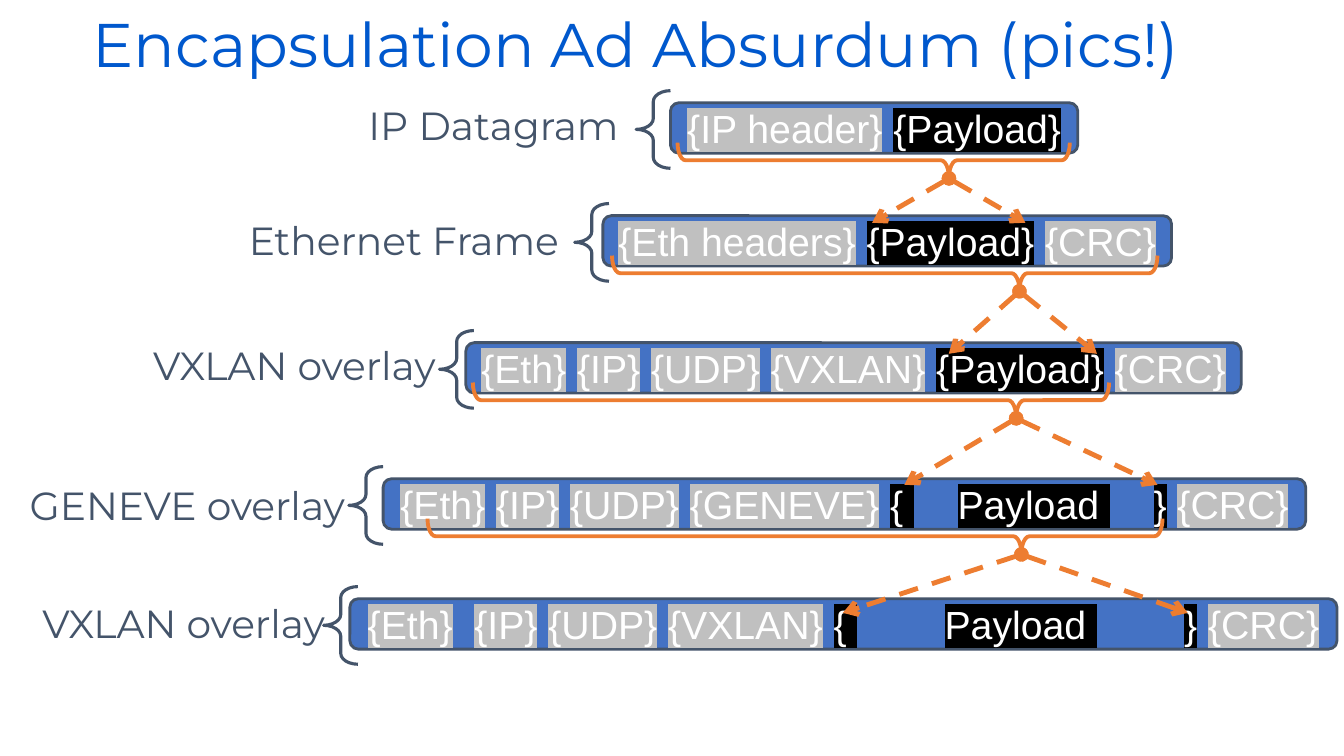
from dataclasses import dataclass
from typing import Optional

from lxml import etree
from pptx import Presentation
from pptx.dml.color import RGBColor
from pptx.enum.dml import MSO_LINE
from pptx.enum.shapes import MSO_CONNECTOR, MSO_SHAPE
from pptx.enum.text import MSO_ANCHOR, PP_ALIGN
from pptx.oxml.ns import qn
from pptx.util import Inches, Pt

LEFT, CENTER, RIGHT = PP_ALIGN.LEFT, PP_ALIGN.CENTER, PP_ALIGN.RIGHT
MIDDLE = MSO_ANCHOR.MIDDLE
BRACE, BAR = MSO_SHAPE.LEFT_BRACE, MSO_SHAPE.ROUNDED_RECTANGLE
STRAIGHT, DASH = MSO_CONNECTOR.STRAIGHT, MSO_LINE.DASH

COLORS = {
    "title": "0058CD", "slate": "44546A", "bar": "4472C4", "orange": "ED7D31",
    "header": "C0C0C0", "payload": "000000", "text": "FFFFFF",
}
BAR_HEIGHT = 0.5
BRACE_HEIGHT = 0.77
SPACE_POINTS = 7.78  # width of one Arial space at 28 pt


@dataclass
class Label:
    text: str
    left: float
    top: float
    width: float
    align: PP_ALIGN = RIGHT
    spacing: float = 0.7


@dataclass
class Wrap:
    """Bracket under a packet and the arrows into the next payload."""
    left: float
    width: float
    tip: float
    arrow_left: float
    arrow_right: float
    arrow_y: float


@dataclass
class Packet:
    label: Label
    left: float
    top: float
    width: float
    brace_left: float
    headers: list[str]
    padding: int = 0
    trailer: bool = True
    first_gap: int = 1
    wrap: Optional[Wrap] = None


PACKETS = [
    Packet(Label("IP Datagram ", 3.23, 1.01, 3.43, CENTER, 0.9),
           6.65, 1.02, 4.04, 6.31, ["IP header"], trailer=False,
           wrap=Wrap(6.72, 3.89, 0.692, 8.65, 10.17, 2.21)),
    Packet(Label("Ethernet Frame", 2.15, 2.18, 3.71, CENTER),
           5.98, 2.14, 5.64, 5.7, ["Eth headers"],
           wrap=Wrap(6.07, 5.41, 0.747, 9.41, 10.88, 3.51)),
    Packet(Label("VXLAN overlay", 1.09, 3.42, 3.33),
           4.62, 3.4, 7.69, 4.36, ["Eth", "IP", "UDP", "VXLAN"],
           wrap=Wrap(4.69, 6.31, 0.854, 8.97, 11.48, 4.81)),
    Packet(Label("GENEVE overlay", 0.02, 4.81, 3.5),
           3.8, 4.75, 9.15, 3.46, ["Eth", "IP", "UDP", "GENEVE"], padding=5,
           wrap=Wrap(4.24, 7.29, 0.808, 8.36, 11.78, 6.08)),
    Packet(Label("VXLAN overlay", 0.01, 5.98, 3.31),
           3.47, 5.94, 9.79, 3.21, ["Eth", "IP", "UDP", "VXLAN"], padding=9,
           first_gap=2),
]


def rgb(name: str) -> RGBColor:
    return RGBColor.from_string(COLORS[name])


def add_text(para, text: str, *, size: float = 28, font: str = "Arial",
             color: str = "text", highlight: str = "", spaces: int = 1) -> None:
    """Add a span; spaces widens a single blank by letter spacing."""
    span = para.add_run()
    span.text = text
    span.font.size, span.font.name = Pt(size), font
    span.font.color.rgb = rgb(color)
    properties = span.font._element
    if spaces > 1:
        properties.set("spc", str(round((spaces - 1) * SPACE_POINTS * 100)))
    if highlight:
        mark = etree.Element(qn("a:highlight"))
        etree.SubElement(mark, qn("a:srgbClr"), val=COLORS[highlight])
        properties.find(qn("a:solidFill")).addnext(mark)


def add_box(page, label: Label, height: float = 0.51, size: float = 28,
            color: str = "slate") -> None:
    box = page.shapes.add_textbox(Inches(label.left), Inches(label.top),
                                  Inches(label.width), Inches(height))
    frame = box.text_frame
    frame.word_wrap, frame.vertical_anchor = True, MIDDLE
    para = frame.paragraphs[0]
    para.alignment, para.line_spacing = label.align, label.spacing
    add_text(para, label.text, size=size, font="Montserrat", color=color)


def add_outline(page, kind: MSO_SHAPE, left: float, top: float, width: float,
                height: float, color: str, weight: float):
    shape = page.shapes.add_shape(kind, Inches(left), Inches(top),
                                  Inches(width), Inches(height))
    shape.shadow.inherit = False
    shape.fill.background()
    shape.line.color.rgb = rgb(color)
    shape.line.width = Pt(weight)
    return shape


def add_packet(page, packet: Packet) -> None:
    bar = add_outline(page, BAR, packet.left, packet.top, packet.width,
                      BAR_HEIGHT, "slate", 2)
    bar.fill.solid()
    bar.fill.fore_color.rgb = rgb("bar")
    frame = bar.text_frame
    frame.word_wrap, frame.vertical_anchor = False, MIDDLE
    para = frame.paragraphs[0]
    para.alignment = CENTER
    for index, header in enumerate(packet.headers):
        add_text(para, f"{{{header}}}", highlight="header")
        add_text(para, " ", spaces=1 if index else packet.first_gap)
    if packet.padding:
        for text in ("{", " ", "Payload", " ", "}"):
            add_text(para, text, highlight="payload",
                     spaces=packet.padding if text == " " else 1)
    else:
        add_text(para, "{Payload}", highlight="payload")
    if packet.trailer:
        add_text(para, " ")
        add_text(para, "{CRC}", highlight="header")


def add_brace(page, packet: Packet) -> None:
    brace = add_outline(page, BRACE, packet.brace_left, packet.top - 0.12,
                        0.34, BRACE_HEIGHT, "slate", 2.25)
    brace.adjustments[0], brace.adjustments[1] = 0.317, 0.499


def add_arrow(page, x1: float, y1: float, x2: float, y2: float) -> None:
    arrow = page.shapes.add_connector(STRAIGHT, Inches(x1), Inches(y1),
                                      Inches(x2), Inches(y2))
    arrow.line.color.rgb = rgb("orange")
    arrow.line.width, arrow.line.dash_style = Pt(3.5), DASH
    line = arrow.line._get_or_add_ln()
    etree.SubElement(line, qn("a:headEnd"), type="oval")
    etree.SubElement(line, qn("a:tailEnd"), type="arrow")
    etree.SubElement(arrow._element.spPr, qn("a:effectLst"))


def add_wrap(page, top: float, wrap: Wrap) -> None:
    # The brace is turned to point down, about its own centre
    depth = 0.35
    center_x, center_y = wrap.left + wrap.width / 2, top + 0.57
    tip_x, tip_y = wrap.left + wrap.tip * wrap.width, top + 0.75
    for end_x in (wrap.arrow_left, wrap.arrow_right):
        add_arrow(page, tip_x, tip_y, end_x, wrap.arrow_y)
    brace = add_outline(page, BRACE, center_x - depth / 2,
                        center_y - wrap.width / 2, depth, wrap.width,
                        "orange", 2.75)
    brace.rotation = 270
    brace.adjustments[0], brace.adjustments[1] = 0.228, wrap.tip


def main() -> None:
    deck = Presentation()
    deck.slide_width, deck.slide_height = Inches(13.33), Inches(7.5)
    page = deck.slides.add_slide(deck.slide_layouts[6])

    # Title
    title = Label("Encapsulation Ad Absurdum (pics!)", 0.82, -0.01, 11.5, LEFT, 0.9)
    add_box(page, title, height=0.97, size=44, color="title")

    # Packets with their labels
    for packet in PACKETS:
        add_box(page, packet.label)
        add_packet(page, packet)
        add_brace(page, packet)

    # Each packet becomes the payload of the next
    for packet in PACKETS:
        if packet.wrap:
            add_wrap(page, packet.top, packet.wrap)

    deck.save("out.pptx")


if __name__ == "__main__":
    main()
